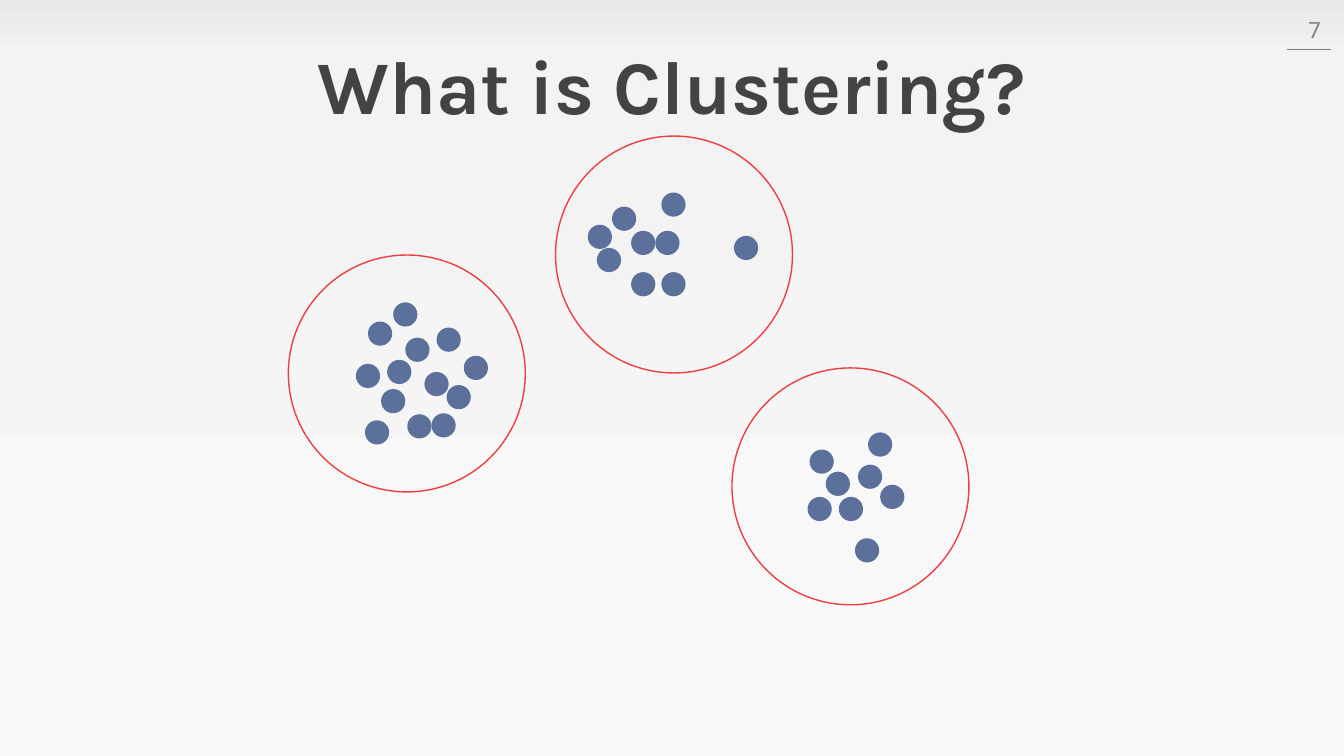
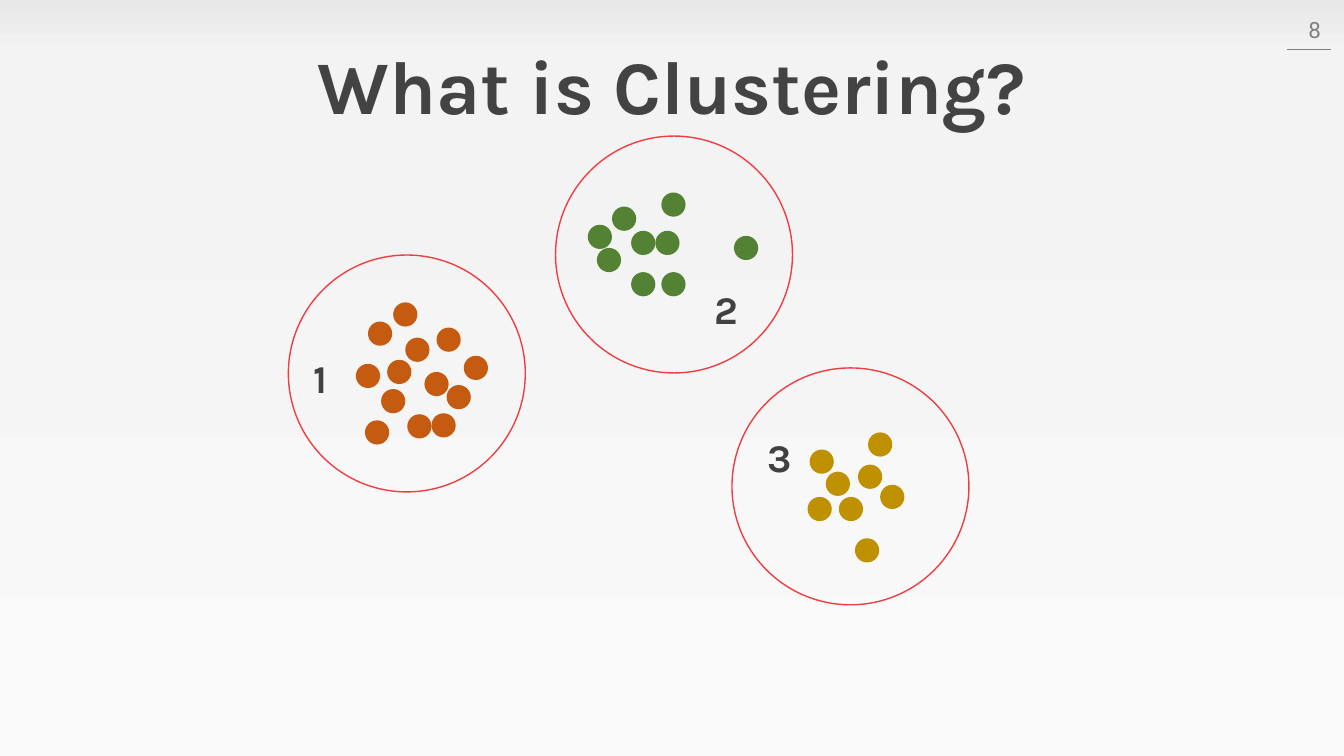
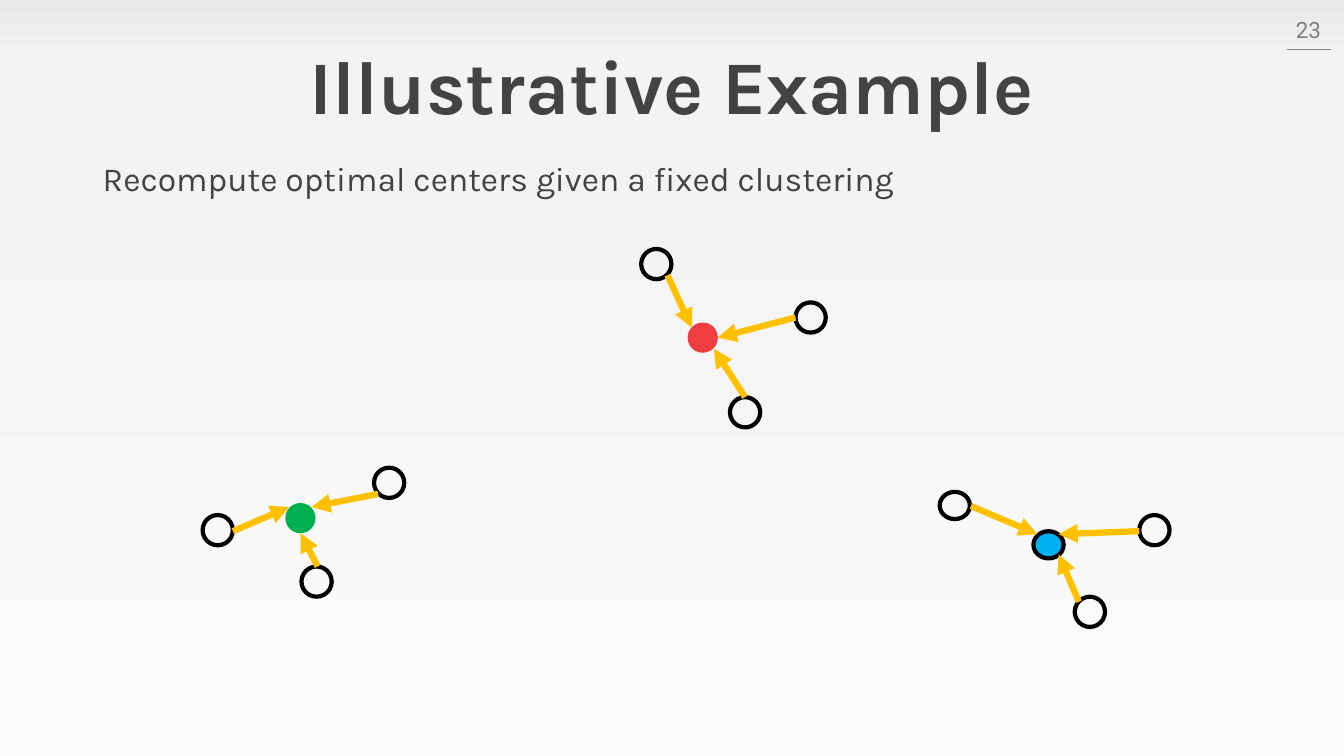
from lxml import etree
from pptx import Presentation
from pptx.dml.color import RGBColor
from pptx.enum.shapes import MSO_CONNECTOR as Connector, MSO_SHAPE as Shape
from pptx.enum.text import MSO_ANCHOR as Anchor, PP_ALIGN as Align
from pptx.oxml.ns import qn
from pptx.util import Emu, Pt

PX = 9144
SLIDE_W, SLIDE_H = 1333, 750
INK, LABEL, GREY, BLACK = "434343", "414141", "808080", "000000"
RED, SLATE, AMBER = "EF3E42", "5B709A", "FFC000"
ORANGE, GREEN, GOLD = "C55A11", "548235", "BF9000"
DOT, RING, NODE = 24, 235, 30


def px(*lengths):
    return [Emu(length * PX) for length in lengths]


def rgb(value):
    return RGBColor.from_string(value)


def add_text(slide, text, box, size, color=INK, font="Karla", bold=False,
             align=Align.LEFT, anchor=Anchor.TOP, spacing=1.0):
    frame = slide.shapes.add_textbox(*px(*box)).text_frame
    frame.word_wrap = True
    frame.vertical_anchor = anchor
    paragraph = frame.paragraphs[0]
    paragraph.alignment = align
    paragraph.line_spacing = spacing
    run = paragraph.add_run()
    run.text = text
    run.font.name = font
    run.font.size = Pt(size)
    run.font.bold = bold
    run.font.color.rgb = rgb(color)


def add_ellipse(slide, box, fill=None, line=None, weight=1):
    ellipse = slide.shapes.add_shape(Shape.OVAL, *px(*box))
    ellipse.shadow.inherit = False
    if fill:
        ellipse.fill.solid()
        ellipse.fill.fore_color.rgb = rgb(fill)
    else:
        ellipse.fill.background()
    if line:
        ellipse.line.color.rgb = rgb(line)
        ellipse.line.width = Pt(weight)
    else:
        ellipse.line.fill.background()


def add_line(slide, start, end, color, weight, arrow=False):
    connector = slide.shapes.add_connector(Connector.STRAIGHT, *px(*start, *end))
    connector.line.color.rgb = rgb(color)
    connector.line.width = Pt(weight)
    properties = connector.element.spPr
    if arrow:
        etree.SubElement(properties.find(qn("a:ln")), qn("a:tailEnd"), type="triangle")
    etree.SubElement(properties, qn("a:effectLst"))


deck = Presentation()
deck.slide_width, deck.slide_height = px(SLIDE_W, SLIDE_H)

master = deck.slide_master
backdrop = master.background.fill
backdrop.gradient()
backdrop.gradient_angle = 90
stops = master.element.find(".//" + qn("a:gsLst"))
for stop in list(stops):
    stops.remove(stop)
for percent, color in [(0, "FAFAFA"), (84, "F3F3F3"), (94, "F0F0F0"), (100, "E8E8E8")]:
    stop = etree.SubElement(stops, qn("a:gs"), pos=str(percent * 1000))
    etree.SubElement(stop, qn("a:srgbClr"), val=color)

pages = []
for number, title in [(7, "What is Clustering?"), (8, "What is Clustering?"),
                      (23, "Illustrative Example")]:
    page = deck.slides.add_slide(deck.slide_layouts[6])
    add_line(page, (1276, 49), (1320, 49), GREY, 1)
    add_text(page, title, (0, 29, SLIDE_W, 120), 54, bold=True,
             align=Align.CENTER, anchor=Anchor.MIDDLE, spacing=0.9)
    add_text(page, str(number), (1264, 9, 56, 40), 16, color=GREY, font="Roboto",
             align=Align.RIGHT, anchor=Anchor.MIDDLE)
    pages.append(page)
unlabelled, labelled, example = pages

clusters = [
    ("1", ORANGE, (286, 253), (301, 347),
     [(365, 319), (390, 300), (353, 361), (402, 335), (384, 357), (433, 325), (421, 369),
      (378, 386), (460, 353), (404, 411), (443, 382), (362, 417), (428, 410)]),
    ("2", GREEN, (551, 135), (699, 278),
     [(583, 223), (607, 205), (728, 234), (656, 191), (626, 270), (650, 229), (626, 229),
      (592, 246), (656, 270)]),
    ("3", GOLD, (726, 365), (751, 425),
     [(848, 534), (861, 429), (851, 461), (801, 493), (873, 481), (819, 468), (803, 446),
      (832, 493)]),
]
for page in (unlabelled, labelled):
    for name, color, ring, label, dots in clusters:
        for dot in dots:
            add_ellipse(page, (*dot, DOT, DOT), fill=color if page is labelled else SLATE)
        add_ellipse(page, (*ring, RING, RING), line=RED)
        if page is labelled:
            add_text(page, name, (*label, 43, 57), 28, color=LABEL, bold=True)

add_text(example, "Recompute optimal centers given a fixed clustering",
         (92, 156, 871, 46), 24, spacing=0.9)

regroupings = [
    ((283, 499, NODE, NODE), "00B050", None,
     [((371, 464, NODE, NODE), (375, 490), (309, 503)),
      ((201, 511, NODE, NODE), (231, 527), (287, 503)),
      ((299, 562, NODE, NODE), (315, 562), (298, 529))]),
    ((682, 320, NODE, NODE), RED, None,
     [((636, 247, NODE, NODE), (662, 273), (686, 325)),
      ((789, 300, NODE, NODE), (789, 315), (712, 335)),
      ((724, 394, NODE, NODE), (739, 394), (708, 346))]),
    ((1025, 527, NODE, 27), "00B0F0", BLACK,
     [((932, 488, NODE, 27), (963, 502), (1029, 530)),
      ((1130, 511, NODE, NODE), (1130, 527), (1050, 530)),
      ((1066, 592, NODE, NODE), (1070, 597), (1050, 550))]),
]
for center, color, outline, members in regroupings:
    add_ellipse(example, center, fill=color, line=outline, weight=3)
    for node, start, end in members:
        add_ellipse(example, node, line=BLACK, weight=3)
        add_line(example, start, end, AMBER, 4.5, arrow=True)

deck.save("out.pptx")
